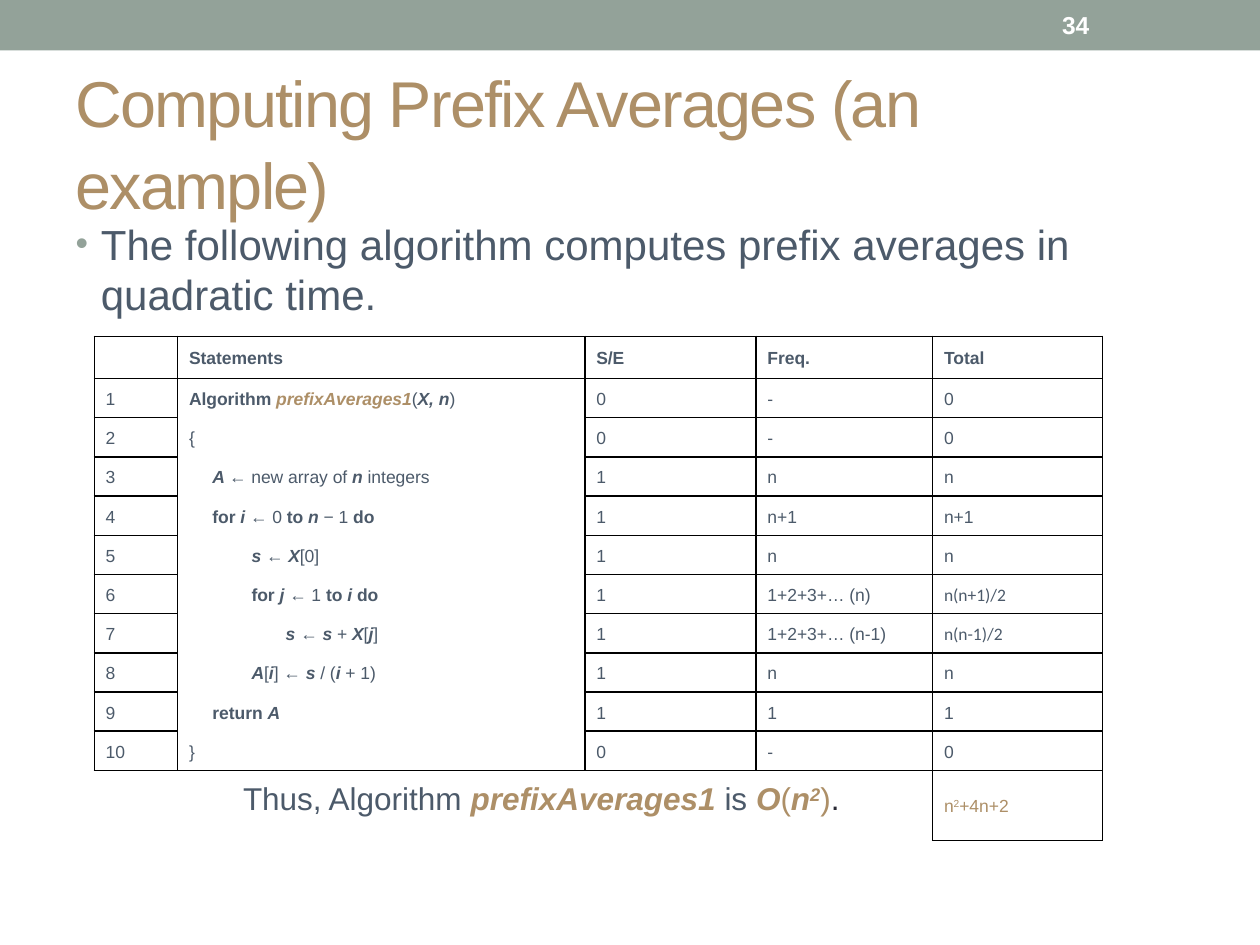
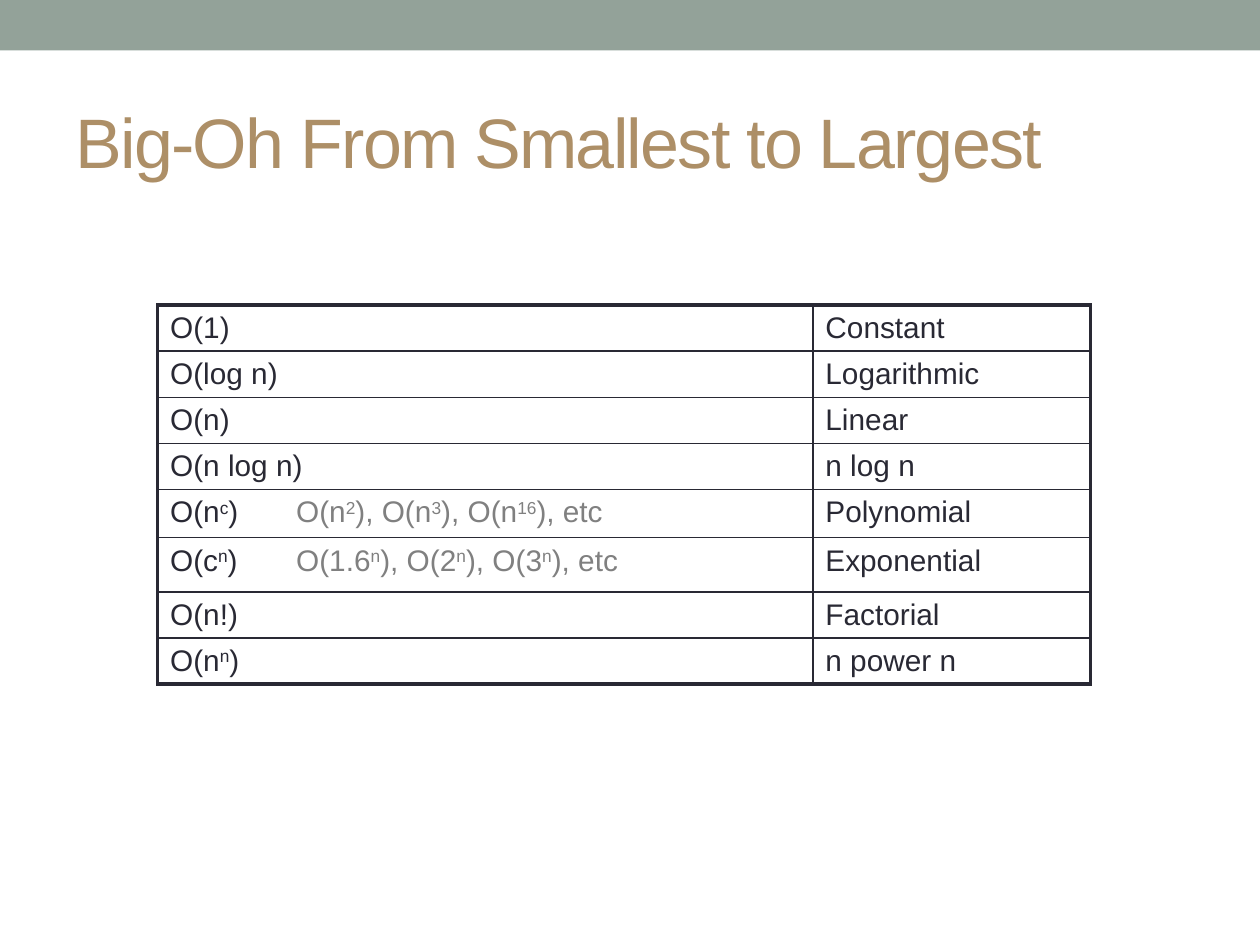
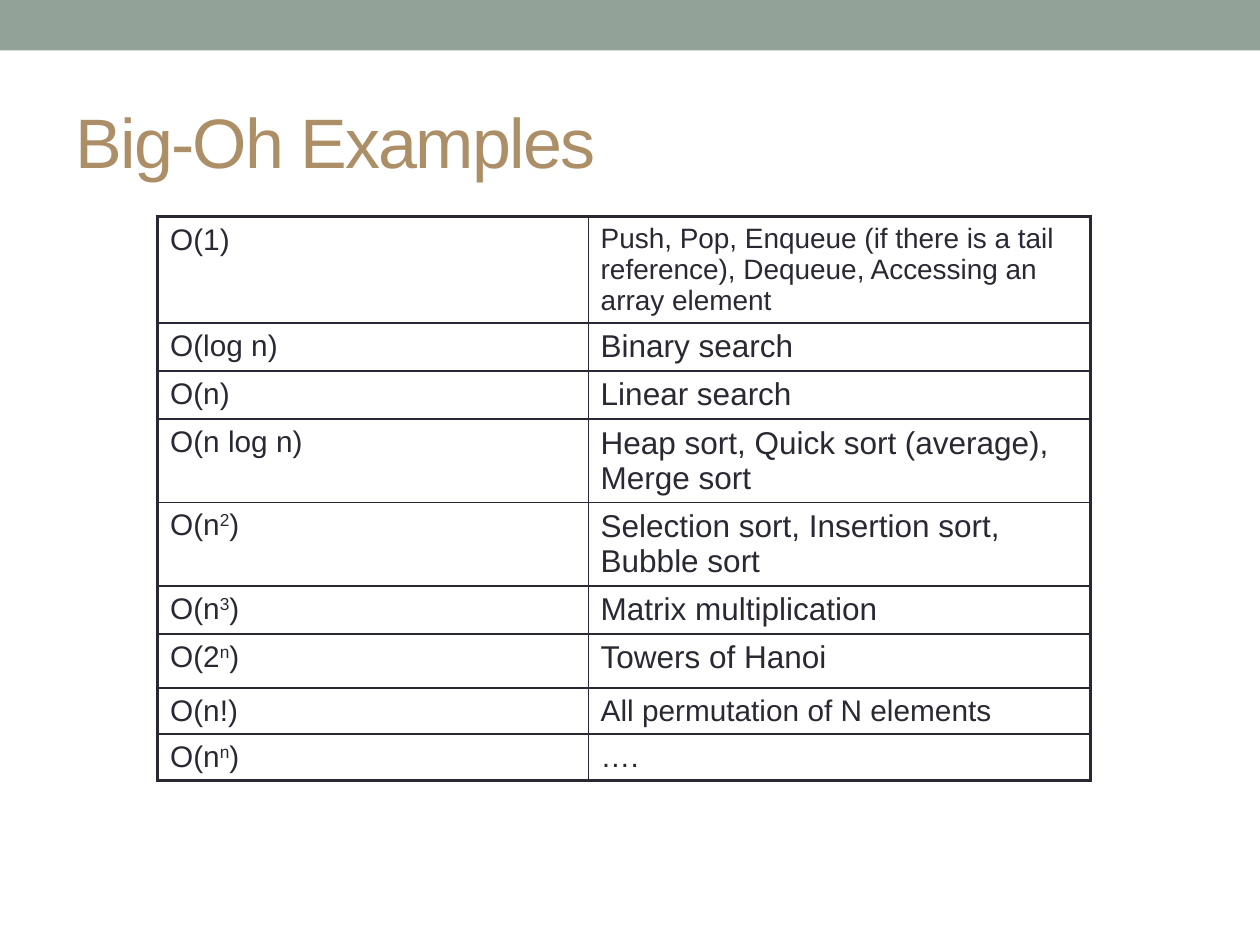
"""Builds three slides on algorithm running time and Big-Oh classes."""
from dataclasses import dataclass

from lxml import etree
from pptx import Presentation
from pptx.dml.color import RGBColor
from pptx.enum.shapes import MSO_SHAPE
from pptx.enum.text import MSO_ANCHOR, MSO_AUTO_SIZE, PP_ALIGN
from pptx.oxml.ns import qn
from pptx.util import Cm, Pt

RECTANGLE = MSO_SHAPE.RECTANGLE
MIDDLE, TOP = MSO_ANCHOR.MIDDLE, MSO_ANCHOR.TOP
LEFT = PP_ALIGN.LEFT
NO_FIT = MSO_AUTO_SIZE.NONE


@dataclass(frozen=True)
class Theme:
    sage: str = "93A299"
    gold: str = "AD8F67"
    slate: str = "4C5A6A"
    ink: str = "292934"
    gray: str = "808080"
    black: str = "000000"
    white: str = "FFFFFF"
    font: str = "Arial"
    formula_font: str = "Calibri"
    title: int = 40
    long_title: int = 37
    body: int = 24
    conclusion: int = 18
    number: int = 14
    code: int = 10
    example_small: int = 16
    order: int = 17
    example: int = 18


theme = Theme()


def write(paragraph, text, size, color=theme.ink, accent=theme.gold, bold=False,
          spacing=None, tracking=0, indent=0, hanging=0, bullet=None, tab=None):
    """Marks toggle: * bold, _ italic, ^ superscript, ~ accent, ` formula font."""
    paragraph.alignment = LEFT
    if spacing:
        paragraph.line_spacing = spacing
    properties = paragraph._p.get_or_add_pPr()
    properties.set("marL", str(Cm(indent)))
    properties.set("indent", str(-Cm(hanging)))
    if bullet:
        tint = etree.SubElement(properties, qn("a:buClr"))
        etree.SubElement(tint, qn("a:srgbClr"), val=theme.sage)
        etree.SubElement(properties, qn("a:buSzPct"), val="85000")
        etree.SubElement(properties, qn("a:buFont"), typeface=theme.font)
        etree.SubElement(properties, qn("a:buChar"), char=bullet)
    if tab:
        stops = etree.SubElement(properties, qn("a:tabLst"))
        etree.SubElement(stops, qn("a:tab"), pos=str(Cm(tab)), algn="l")
    if not text:
        etree.SubElement(paragraph._p, qn("a:endParaRPr"), sz=str(size * 100))
    active, run = set(), None
    for char in text:
        if char in "*_^~`":
            active ^= {char}
            run = None
            continue
        if run is None:
            run = paragraph.add_run()
            run.font.size = Pt(size)
            run.font.name = theme.formula_font if "`" in active else theme.font
            run.font.bold = bold or "*" in active
            run.font.italic = "_" in active
            run.font.color.rgb = RGBColor.from_string(accent if "~" in active else color)
            if "^" in active:
                run._r.get_or_add_rPr().set("baseline", "30000")
            if tracking:
                run._r.get_or_add_rPr().set("spc", str(tracking * 100))
        run.text += char


def add_grid(slide, left, top, columns, heights, rows, line, outer,
             open_edges=(), anchor=TOP, margin=0.25, **text_format):
    """Adds a ruled table; a cell is its text, or its text and extra format."""
    grid = slide.shapes.add_table(len(rows), len(columns), Cm(left), Cm(top),
                                  Cm(sum(columns)), Cm(sum(heights))).table
    grid.first_row = grid.horz_banding = False
    for column, width in zip(grid.columns, columns):
        column.width = Cm(width)
    for r, (row, height) in enumerate(zip(rows, heights)):
        grid.rows[r].height = Cm(height)
        for c, content in enumerate(row):
            text, extra = content if isinstance(content, tuple) else (content, {})
            cell = grid.cell(r, c)
            cell.vertical_anchor = anchor
            cell.margin_left = cell.margin_right = Cm(margin)
            write(cell.text_frame.paragraphs[0], text, **{**text_format, **extra})
            at_border = {"L": c == 0, "R": c == len(columns) - 1,
                         "T": r == 0, "B": r == len(rows) - 1}
            for side, is_outer in at_border.items():
                weight = Pt(outer if is_outer else 1)
                edge = etree.SubElement(cell._tc.get_or_add_tcPr(), qn("a:ln" + side),
                                        w=str(weight))
                if (r, c, side) in open_edges:
                    etree.SubElement(edge, qn("a:noFill"))
                else:
                    paint = etree.SubElement(edge, qn("a:solidFill"))
                    etree.SubElement(paint, qn("a:srgbClr"), val=line)
            cell.fill.background()


deck = Presentation()
deck.slide_width, deck.slide_height = Cm(25.4), Cm(19.05)
content_layout, title_layout = deck.slide_layouts[1], deck.slide_layouts[5]

slides = []
for heading, size, layout in [
    ("Computing Prefix Averages (an example)", theme.long_title, content_layout),
    ("Big-Oh From Smallest to Largest", theme.title, title_layout),
    ("Big-Oh Examples", theme.title, title_layout),
]:
    slide = deck.slides.add_slide(layout)
    title = slide.shapes.title
    title.left, title.top, title.width, title.height = Cm(1.27), Cm(1.47), Cm(22.86), Cm(2.74)
    title.text_frame.auto_size = NO_FIT
    title.text_frame.vertical_anchor = MIDDLE
    write(title.text_frame.paragraphs[0], heading, size, theme.gold, tracking=-1,
          spacing=1.05 if size == theme.long_title else None)
    slides.append(slide)
averages, classes, examples = slides

band = averages.shapes.add_shape(RECTANGLE, 0, 0, deck.slide_width, Cm(1.02))
band.shadow.inherit = False
band.fill.solid()
band.fill.fore_color.rgb = RGBColor.from_string(theme.sage)
band.line.fill.background()
deck.slide_master.shapes.element.insert(2, band.element)

intro = averages.placeholders[1]
intro.left, intro.top, intro.width, intro.height = Cm(1.27), Cm(4.27), Cm(22.66), Cm(2.29)
intro.text_frame.auto_size = NO_FIT
write(intro.text_frame.paragraphs[0],
      "The following algorithm computes prefix averages in quadratic time.",
      theme.body, theme.slate, indent=0.51, hanging=0.51, bullet="•")

page = averages.shapes.add_textbox(Cm(21.16), Cm(0.05), Cm(2.97), Cm(0.91)).text_frame
page.word_wrap = True
page.vertical_anchor = MIDDLE
write(page.paragraphs[0], "34", theme.number, theme.white, bold=True)

steps = [
    (0, "*Algorithm ~_prefixAverages1_~*(*_X, n_*)", "0", "-", "0"),
    (0, "{", "0", "-", "0"),
    (0.47, "*_A _*← new array of *_n_* integers", "1", "n", "n"),
    (0.47, "*for _i _*← 0 *to _n _*− 1 *do*", "1", "n+1", "n+1"),
    (1.26, "*_s _*← *_X_*[0]", "1", "n", "n"),
    (1.26, "*for _j _*← 1 *to _i _do*", "1", "1+2+3+… (n)", "`n(n+1)/2`"),
    (1.95, "*_s _*← *_s_* + *_X_*[*_j_*]", "1", "1+2+3+… (n-1)", "`n(n-1)/2`"),
    (1.26, "*_A_*[*_i_*] ← *_s_* / (*_i_* + 1)", "1", "n", "n"),
    (0.47, "*return _A_*", "1", "1", "1"),
    (0, "}", "0", "-", "0"),
]
cost_rows = [["", "*Statements*", "*S/E*", "*Freq.*", "*Total*"]]
for number, (indent, statement, *costs) in enumerate(steps, 1):
    cost_rows.append([str(number), (statement, {"indent": indent}), *costs])
cost_rows.append(["", "", "", "", "~n^2^+4n+2~"])

last = len(steps) + 1
open_edges = {(r, 1, "B") for r in range(1, last - 1)}
open_edges |= {(r, 1, "T") for r in range(2, last)}
open_edges |= {(last, c, side) for c in range(4) for side in "LB"}
open_edges |= {(last, c, "R") for c in range(3)}
add_grid(averages, 1.9, 6.78, [1.68, 8.21, 3.45, 3.56, 3.43],
         [0.85] + [0.79] * len(steps) + [1.41], cost_rows, theme.black, outer=1,
         open_edges=open_edges, anchor=MIDDLE, margin=0.23,
         size=theme.code, color=theme.slate, spacing=1.15)

conclusion = averages.shapes.add_textbox(Cm(4.65), Cm(15.67), Cm(13.34), Cm(1.47)).text_frame
conclusion.word_wrap = True
result = conclusion.paragraphs[0]
write(result, "Thus, Algorithm ~*_prefixAverages1 _*~is ~*_O_*(*_n^2^_*)~",
      theme.conclusion, theme.slate, spacing=0.9)
write(result, ".", theme.conclusion, spacing=0.9)

class_rows = [
    ("O(1)", "Constant"),
    ("O(log n)", "Logarithmic"),
    ("O(n)", "Linear"),
    ("O(n log n)", "n log n"),
    (("O(n^c^)\t~O(n^2^), O(n^3^), O(n^16^), etc~", {"tab": 4.37}), "Polynomial"),
    (("O(c^n^)\t~O(1.6^n^), O(2^n^), O(3^n^), etc~", {"tab": 4.37}), "Exponential"),
    ("O(n!)", "Factorial"),
    ("O(n^n^)", "n power n"),
]
add_grid(classes, 3.18, 6.15, [13.21, 5.59], [0.93] * 4 + [0.97, 1.09] + [0.93] * 2,
         class_rows, theme.ink, outer=2.25, size=theme.order, accent=theme.gray)

small, large = {"size": theme.example_small}, {"size": theme.example}
example_rows = [
    ("O(1)", ("Push, Pop, Enqueue (if there is a tail reference), Dequeue, "
              "Accessing an array element", small)),
    ("O(log n)", ("Binary search", large)),
    ("O(n)", ("Linear search", large)),
    ("O(n log n)", ("Heap sort, Quick sort (average), Merge sort", large)),
    ("O(n^2^)", ("Selection sort, Insertion sort, Bubble sort", large)),
    ("O(n^3^)", ("Matrix multiplication", large)),
    ("O(2^n^)", ("Towers of Hanoi", large)),
    ("O(n!)", "All permutation of N elements"),
    ("O(n^n^)", "…."),
]
add_grid(examples, 3.18, 4.37, [8.68, 10.12],
         [2.14, 0.97, 0.97, 1.68, 1.68, 0.97, 1.09, 0.93, 0.93],
         example_rows, theme.ink, outer=2.25, size=theme.order)

deck.save("out.pptx")
